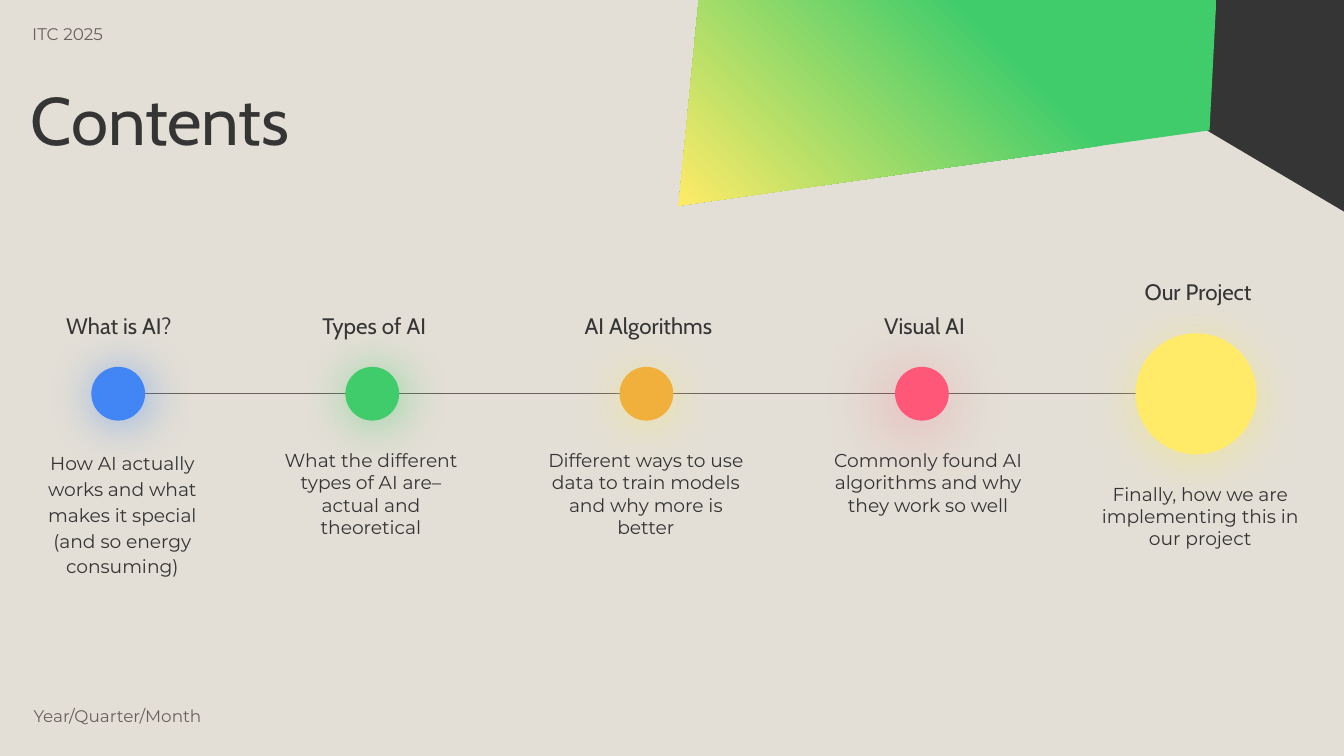
from lxml import etree
from pptx import Presentation
from pptx.dml.color import RGBColor
from pptx.enum.shapes import MSO_CONNECTOR, MSO_SHAPE
from pptx.enum.text import MSO_ANCHOR, PP_ALIGN
from pptx.oxml import parse_xml
from pptx.oxml.ns import nsdecls, qn
from pptx.util import Inches, Pt

LEFT, CENTER = PP_ALIGN.LEFT, PP_ALIGN.CENTER
TOP, MIDDLE = MSO_ANCHOR.TOP, MSO_ANCHOR.MIDDLE
OVAL, STRAIGHT = MSO_SHAPE.OVAL, MSO_CONNECTOR.STRAIGHT

INK, MUTED, PAPER = "353535", "69615E", "E3DFD6"
GREEN, YELLOW, BLUE, PINK, ORANGE = "41CC6B", "FFEB67", "4285F4", "FF5777", "F0B03B"
HEAD_FONT, BODY_FONT = "Cabin", "Montserrat"

# Square grid: 100 columns across the slide, 56.25 rows down
prs = Presentation()
prs.slide_width = Inches(10)
U = prs.slide_width // 100
prs.slide_height = int(U * 56.25)
s = prs.slides.add_slide(prs.slide_layouts[6])


def rgb(value):
    return RGBColor.from_string(value)


def add_text(text, box, size=10, font=BODY_FONT, color=INK, align=LEFT,
             anchor=TOP, spacing=1.0, insets=(1, 1, 1, 1)):
    tf = s.shapes.add_textbox(*[int(U * v) for v in box]).text_frame
    tf.word_wrap = True
    tf.vertical_anchor = anchor
    tf.margin_left, tf.margin_top, tf.margin_right, tf.margin_bottom = [
        int(U * v) for v in insets]
    p = tf.paragraphs[0]
    p.alignment = align
    p.line_spacing = spacing
    r = p.add_run()
    r.text = text
    r.font.size = Pt(size)
    r.font.name = font
    r.font.color.rgb = rgb(color)


s.background.fill.solid()
s.background.fill.fore_color.rgb = rgb(PAPER)

# Corner panels: dark, then green with a gradient to yellow
panels = [
    (INK, [(89.8, 9.7), (100.1, 15.8), (100.1, -0.1), (90.5, -0.1)]),
    (GREEN, [(52, -0.1), (50.5, 15.3), (90, 9.7), (90.5, 0)]),
]
for color, corners in panels:
    points = [(int(U * x), int(U * y)) for x, y in corners]
    builder = s.shapes.build_freeform(*points[0], scale=1.0)
    builder.add_line_segments(points[1:], close=True)
    panel = builder.convert_to_shape()
    panel.shadow.inherit = False
    panel.line.fill.background()
    panel.fill.solid()
    panel.fill.fore_color.rgb = rgb(color)

stops = "".join(f'<a:gs pos="{pos * 1000}"><a:srgbClr val="{color}"/></a:gs>'
                for pos, color in [(0, GREEN), (35, GREEN), (100, YELLOW)])
solid = panel.element.spPr.find(qn("a:solidFill"))
solid.getparent().replace(solid, parse_xml(
    f'<a:gradFill {nsdecls("a")}><a:gsLst>{stops}</a:gsLst>'
    f'<a:lin ang="{135 * 60000}" scaled="0"/></a:gradFill>'))

# Timeline axis
axis = s.shapes.add_connector(STRAIGHT, *[int(U * v) for v in (7.5, 29.3, 91.5, 29.3)])
axis.line.color.rgb = rgb(MUTED)
axis.line.width = Pt(0.75)
etree.SubElement(axis.element.spPr, qn("a:effectLst"))

# Slide title and margin notes
add_text("ITC 2025", (0.4, 1, 17.3, 2.1), size=9, color=MUTED, insets=(2, 1, 1, 1))
add_text("Contents", (1.3, 5.5, 63.7, 7.5), size=36, font=HEAD_FONT, spacing=0.9)
add_text("Year/Quarter/Month", (2.5, 52.2, 21.2, 2.1), size=9, color=MUTED,
         anchor=MIDDLE, insets=(0, 0, 0, 0))

# Glow: color, opacity %, blur pt, distance pt, direction in degrees
yellow_glow = (YELLOW, 50, 27, 3, 90)
# Stop: centre, diameter, color, glow, heading and its left, top, width,
# body and its left, top, width, line spacing
milestones = [
    (8.8, 4, BLUE, (BLUE, 56, 25.9, 2.2, 45), "What is AI?", (3.2, 22.2, 11.3),
     "How AI actually works and what makes it special (and so energy consuming)",
     (1.6, 32.4, 15), 1.15),
    (27.7, 4, GREEN, (GREEN, 56, 25.9, 2.2, 45), "Types of AI", (22.2, 22.2, 11.3),
     "What the different types of AI are–actual and theoretical",
     (20.1, 32.4, 15), 1.0),
    (48.1, 4, ORANGE, yellow_glow, "AI Algorithms", (41.2, 22.2, 14.1),
     "Different ways to use data to train models and why more is better",
     (39.4, 32.4, 17.3), 1.0),
    (68.6, 4, PINK, (PINK, 50, 38.2, 6, 130), "Visual AI", (62.1, 22.2, 13.4),
     "Commonly found AI algorithms and why they work so well",
     (60.9, 32.4, 16.3), 1.0),
    (89, 9, YELLOW, yellow_glow, "Our Project", (83.5, 19.7, 11.3),
     "Finally, how we are implementing this in our project",
     (80.3, 34.9, 18), 1.0),
]
for center, size, color, glow, heading, head_box, body, body_box, spacing in milestones:
    dot = s.shapes.add_shape(OVAL, *[int(U * v) for v in (
        center - size / 2, 29.3 - size / 2, size, size)])
    dot.fill.solid()
    dot.fill.fore_color.rgb = rgb(color)
    dot.line.fill.background()
    dot.shadow.inherit = False
    tint, opacity, blur, distance, angle = glow
    dot.element.spPr.find(qn("a:effectLst")).append(parse_xml(
        f'<a:outerShdw {nsdecls("a")} blurRad="{Pt(blur)}" dist="{Pt(distance)}" '
        f'dir="{angle * 60000}" algn="bl" rotWithShape="0"><a:srgbClr val="{tint}">'
        f'<a:alpha val="{opacity * 1000}"/></a:srgbClr></a:outerShdw>'))
    add_text(heading, (*head_box, 4), size=12, font=HEAD_FONT, align=CENTER)
    add_text(body, (*body_box, 11.6), align=CENTER, spacing=spacing)

prs.save("out.pptx")
